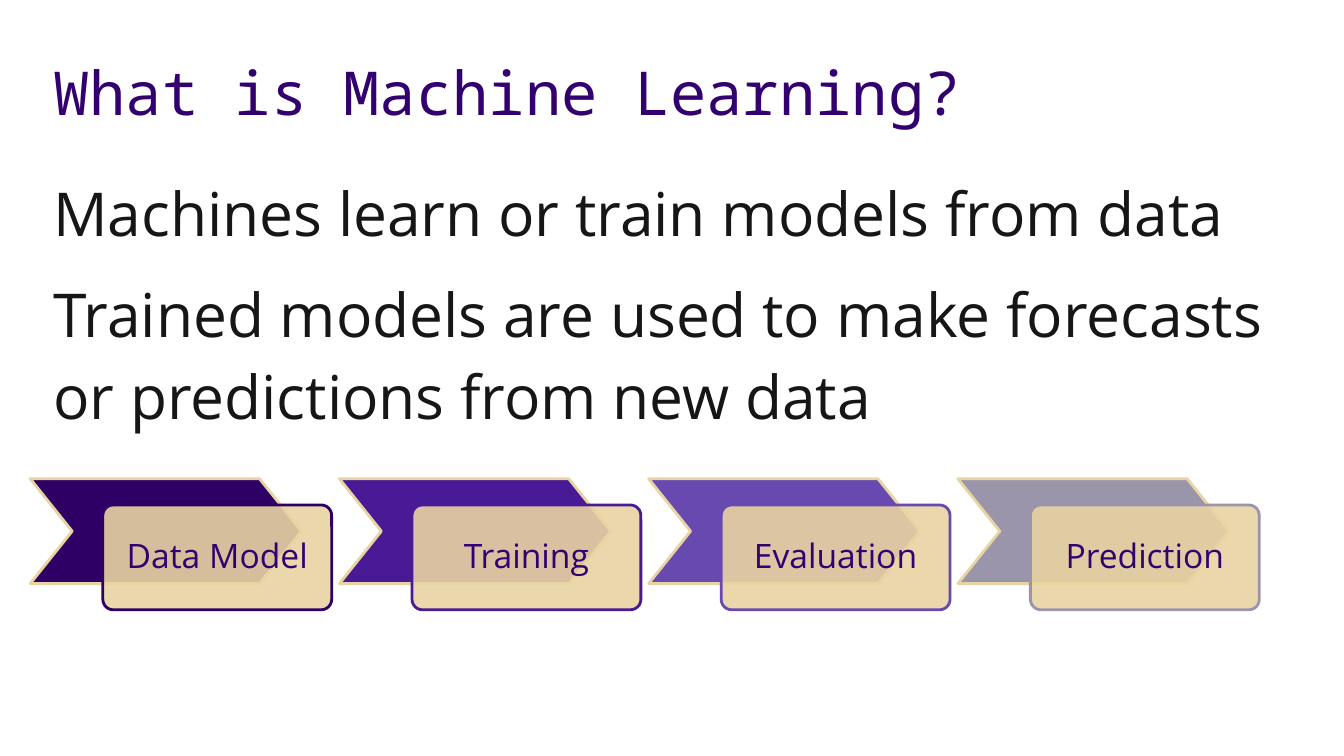
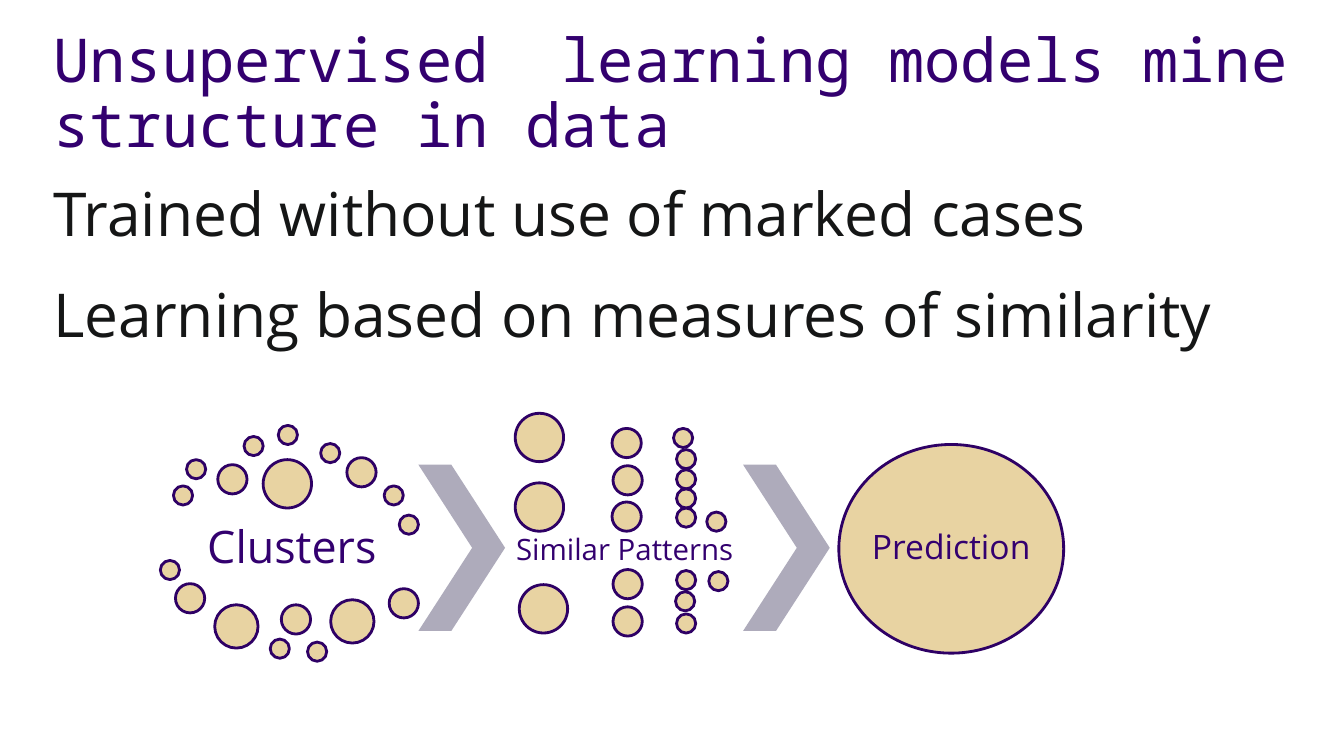
from dataclasses import dataclass

from lxml import etree
from pptx import Presentation
from pptx.dml.color import RGBColor
from pptx.enum.shapes import MSO_SHAPE
from pptx.enum.text import MSO_ANCHOR, PP_ALIGN
from pptx.oxml.ns import qn
from pptx.util import Inches, Pt

CHEVRON, PILL, OVAL = MSO_SHAPE.CHEVRON, MSO_SHAPE.ROUNDED_RECTANGLE, MSO_SHAPE.OVAL
TOP, MIDDLE = MSO_ANCHOR.TOP, MSO_ANCHOR.MIDDLE
LEFT, CENTER = PP_ALIGN.LEFT, PP_ALIGN.CENTER

COLORS = {
    "title": "33006F",
    "body": "151616",
    "gold": "E8D3A2",
    "deep": "2E0065",
    "violet": "491A95",
    "lavender": "6849AF",
    "gray": "9B95AC",
    "arrow": "AEABBB",
}
MONO, SANS = "Noto Sans Mono", "Open Sans"
MARGIN = 0.43
CONTENT_WIDTH = 12.48
LINE_WIDTH = 2


@dataclass(frozen=True)
class Box:
    left: float
    top: float
    width: float
    height: float

    def lengths(self) -> list:
        return [Inches(v) for v in (self.left, self.top, self.width, self.height)]


@dataclass(frozen=True)
class TextStyle:
    size: float
    font: str = SANS
    color: str = "title"
    anchor: MSO_ANCHOR = MIDDLE
    align: PP_ALIGN = CENTER
    spacing: float = 0.9
    before: float = 0
    after: float = 0
    inset_x: float = 0.03
    inset_y: float = 0.03
    wrap: bool = True


@dataclass(frozen=True)
class Step:
    label: str
    color: str


@dataclass(frozen=True)
class DotGroup:
    diameter: float
    corners: tuple


TITLE = TextStyle(43.2, MONO, align=LEFT, before=8.6, inset_x=0.1, inset_y=0.05)
BODY = TextStyle(43.2, color="body", anchor=TOP, align=LEFT, spacing=1.14,
                 before=5.4, after=7.2, inset_x=0.1, inset_y=0.05)
STEP_LABEL = TextStyle(24, wrap=False)
CLUSTERS_LABEL = TextStyle(32)
PATTERNS_LABEL = TextStyle(21)

STEPS = (
    Step("Data Model", "deep"),
    Step("Training", "violet"),
    Step("Evaluation", "lavender"),
    Step("Prediction", "gray"),
)
FIRST_STEP, STEP_PITCH = 0.3, 9.2 / 3

SMALL, MEDIUM, LARGE, HUGE = 0.19, 0.29, 0.43, 0.48
CLUSTER_DOTS = (
    DotGroup(SMALL, ((1.72, 4.82), (1.85, 4.56), (2.42, 4.33), (2.76, 4.22),
                     (3.18, 4.4), (3.81, 4.82), (3.96, 5.11), (1.59, 5.56),
                     (2.68, 6.34), (3.05, 6.37))),
    DotGroup(MEDIUM, ((2.16, 4.61), (3.44, 4.54), (1.74, 5.79), (2.79, 6),
                      (3.86, 5.84))),
    DotGroup(LARGE, ((2.13, 6), (3.28, 5.95))),
    DotGroup(HUGE, ((2.61, 4.56),)),
)
# The rows above and below leave a clear band for the label
PATTERN_DOTS = (
    DotGroup(HUGE, ((5.11, 4.1), (5.11, 4.79), (5.15, 5.8))),
    DotGroup(MEDIUM, ((6.07, 4.25), (6.08, 4.62), (6.07, 4.98), (6.08, 5.65),
                      (6.08, 6.02))),
    DotGroup(SMALL, ((7.01, 5.08), (7.03, 5.67), (6.68, 4.25), (6.71, 4.46),
                     (6.71, 4.66), (6.71, 4.85), (6.71, 5.04), (6.71, 5.66),
                     (6.7, 5.87), (6.71, 6.09))),
)


def rgb(name: str) -> RGBColor:
    return RGBColor.from_string(COLORS[name])


def apply(target, values: dict) -> None:
    for attribute, value in values.items():
        setattr(target, attribute, value)


def write(shape, lines: tuple, style: TextStyle) -> None:
    frame = shape.text_frame
    apply(frame, {
        "word_wrap": style.wrap,
        "vertical_anchor": style.anchor,
        "margin_left": Inches(style.inset_x),
        "margin_right": Inches(style.inset_x),
        "margin_top": Inches(style.inset_y),
        "margin_bottom": Inches(style.inset_y),
    })
    for index, line in enumerate(lines):
        paragraph = frame.add_paragraph() if index else frame.paragraphs[0]
        apply(paragraph, {
            "alignment": style.align,
            "line_spacing": style.spacing,
            "space_before": Pt(style.before),
            "space_after": Pt(style.after),
        })
        run = paragraph.add_run()
        run.text = line
        apply(run.font, {"size": Pt(style.size), "name": style.font})
        run.font.color.rgb = rgb(style.color)


def add_text(slide, box: Box, lines: tuple, style: TextStyle) -> None:
    write(slide.shapes.add_textbox(*box.lengths()), lines, style)


def add_figure(slide, kind: MSO_SHAPE, box: Box, fill: str, line: str = "",
               adjust: float | None = None, opacity: int = 100):
    figure = slide.shapes.add_shape(kind, *box.lengths())
    figure.shadow.inherit = False
    figure.fill.solid()
    figure.fill.fore_color.rgb = rgb(fill)
    if opacity < 100:
        color = figure.fill._xPr.find(f".//{qn('a:srgbClr')}")
        etree.SubElement(color, qn("a:alpha"), val=str(opacity * 1000))
    if line:
        figure.line.color.rgb = rgb(line)
        figure.line.width = Pt(LINE_WIDTH)
    else:
        figure.line.fill.background()
    if adjust is not None:
        figure.adjustments[0] = adjust
    return figure


def add_dots(slide, groups: tuple) -> None:
    for group in groups:
        for left, top in group.corners:
            dot = Box(left, top, group.diameter, group.diameter)
            add_figure(slide, OVAL, dot, "gold", "deep")


def add_content_slide(deck, title: str, body: tuple, body_height: float):
    slide = deck.slides.add_slide(deck.slide_layouts[6])
    add_text(slide, Box(MARGIN, 0.3, CONTENT_WIDTH, 1.3), (title,), TITLE)
    add_text(slide, Box(MARGIN, 1.6, CONTENT_WIDTH, body_height), body, BODY)
    return slide


def build_machine_learning(deck) -> None:
    slide = add_content_slide(
        deck, "What is Machine Learning?",
        ("Machines learn or train models from data",
         "Trained models are used to make forecasts or predictions from new data"),
        4.96)
    # Process chain: a chevron with an overlapping label for each step
    for index, step in enumerate(STEPS):
        left = FIRST_STEP + index * STEP_PITCH
        add_figure(slide, CHEVRON, Box(left, 4.75, 2.69, 1.04),
                   step.color, "gold", adjust=0.4)
        label = add_figure(slide, PILL, Box(left + 0.72, 5.01, 2.27, 1.04),
                           "gold", step.color, adjust=0.1, opacity=90)
        write(label, (step.label,), STEP_LABEL)


def build_unsupervised(deck) -> None:
    slide = add_content_slide(
        deck, "Unsupervised  learning models mine structure in data",
        ("Trained without use of marked cases",
         "Learning based on measures of similarity"),
        2.02)
    # Scattered clusters
    add_text(slide, Box(1.72, 5.06, 2.35, 0.77), ("Clusters",), CLUSTERS_LABEL)
    add_dots(slide, CLUSTER_DOTS)
    # Arrows between the stages
    for left in (4.15, 7.37):
        add_figure(slide, CHEVRON, Box(left, 4.61, 0.86, 1.65), "arrow", adjust=0.62)
    # Dots sorted by size, with the label between the rows
    add_dots(slide, PATTERN_DOTS)
    add_text(slide, Box(5.02, 4.64, 2.35, 1.65), ("Similar Patterns",), PATTERNS_LABEL)
    # Outcome
    prediction = add_figure(slide, OVAL, Box(8.32, 4.41, 2.23, 2.07), "gold", "deep")
    write(prediction, ("Prediction",), STEP_LABEL)


def main() -> None:
    deck = Presentation()
    deck.slide_width, deck.slide_height = Inches(13.33), Inches(7.5)
    build_machine_learning(deck)
    build_unsupervised(deck)
    deck.save("out.pptx")


if __name__ == "__main__":
    main()
